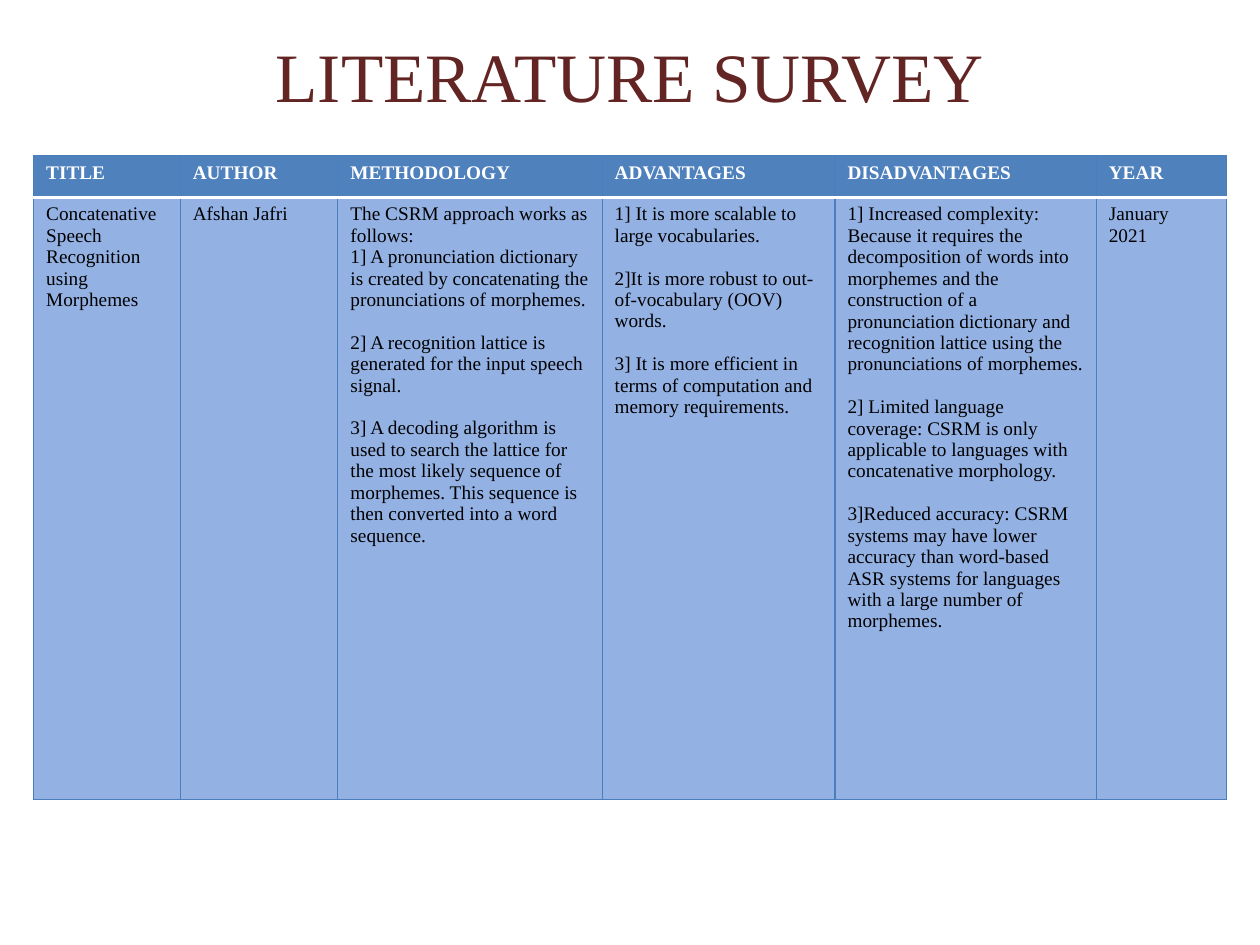
"""Build the literature survey slide with its comparison table."""
from pptx import Presentation
from pptx.dml.color import RGBColor as RGB
from pptx.enum.text import MSO_ANCHOR as Anchor, PP_ALIGN as Align
from pptx.oxml.ns import qn
from pptx.util import Pt
from lxml.etree import SubElement as Sub

COLUMNS = [
    ("TITLE", 83.8, ["Concatenative Speech Recognition using Morphemes"]),
    ("AUTHOR", 90.1, ["Afshan Jafri"]),
    ("METHODOLOGY", 151, [
        "The CSRM approach works as follows:",
        "1] A pronunciation dictionary is created by concatenating the pronunciations of morphemes.",
        "2] A recognition lattice is generated for the input speech signal.",
        "3] A decoding algorithm is used to search the lattice for the most likely sequence of "
        "morphemes. This sequence is then converted into a word sequence."]),
    ("ADVANTAGES", 133.1, [
        "1] It is more scalable to large vocabularies.",
        "2]It is more robust to out-of-vocabulary (OOV) words.",
        "3] It is more efficient in terms of computation and memory requirements."]),
    ("DISADVANTAGES", 149.3, [
        "1] Increased complexity: Because it requires the decomposition of words into morphemes "
        "and the construction of a pronunciation dictionary and recognition lattice using the "
        "pronunciations of morphemes.",
        "2] Limited language coverage: CSRM is only applicable to languages with concatenative "
        "morphology.",
        "3]Reduced accuracy: CSRM systems may have lower accuracy than word-based ASR systems "
        "for languages with a large number of morphemes."]),
    ("YEAR", 74.3, ["January", "2021"]),
]


def color(hex_code):
    return RGB.from_string(hex_code)


class Deck:
    font, size = "Times New Roman", 11
    maroon, white, black = "632523", "FFFFFF", "000000"
    header, body, rule = "4F81BD", "93B1E3", "4B7EBC"

    def __init__(self, prs):
        self.s = prs.slides.add_slide(prs.slide_layouts[5])

    def run(self, p, text, size, hex_code, bold=False):
        r = p.add_run()
        r.text = text
        r.font.name, r.font.size, r.font.bold = self.font, Pt(size), bold
        r.font.color.rgb = color(hex_code)

    def title(self, text, left, top, width, height):
        sp = self.s.shapes.title
        sp.left, sp.top, sp.width, sp.height = Pt(left), Pt(top), Pt(width), Pt(height)
        tf = sp.text_frame
        tf.vertical_anchor = Anchor.MIDDLE
        p = tf.paragraphs[0]
        p.alignment = Align.CENTER
        self.run(p, text, 39.6, self.maroon)

    def border(self, cell, side, hex_code, width):
        ln = Sub(cell._tc.get_or_add_tcPr(), qn(f"a:ln{side}"), w=str(Pt(width)))
        Sub(Sub(ln, qn("a:solidFill")), qn("a:srgbClr"), val=hex_code)

    def cell(self, cell, lines, is_header):
        divider = "B" if is_header else "T"
        for side in "LRTB":
            style = (self.white, 2) if side == divider else (self.rule, 0.75)
            self.border(cell, side, *style)
        cell.fill.solid()
        cell.fill.fore_color.rgb = color(self.header if is_header else self.body)
        tf = cell.text_frame
        for i, line in enumerate(lines):
            p = tf.add_paragraph() if i else tf.paragraphs[0]
            if line.startswith(("2]", "3]")):
                p.space_before = Pt(12.2)
            self.run(p, line, self.size, self.white if is_header else self.black, is_header)

    def table(self, columns, left, top, heights):
        width = sum(w for _, w, _ in columns)
        tbl = self.s.shapes.add_table(len(heights), len(columns), Pt(left), Pt(top),
                                      Pt(width), Pt(sum(heights))).table
        for row, height in zip(tbl.rows, heights):
            row.height = Pt(height)
        for i, (heading, w, lines) in enumerate(columns):
            tbl.columns[i].width = Pt(w)
            self.cell(tbl.cell(0, i), [heading], True)
            self.cell(tbl.cell(1, i), lines, False)


def main():
    prs = Presentation()
    prs.slide_width, prs.slide_height = Pt(720), Pt(540)
    deck = Deck(prs)
    deck.title("LITERATURE SURVEY", 36, 21.6, 648, 41.8)
    deck.table(COLUMNS, 19.2, 89, [23.8, 344.2])
    prs.save("out.pptx")


if __name__ == "__main__":
    main()
